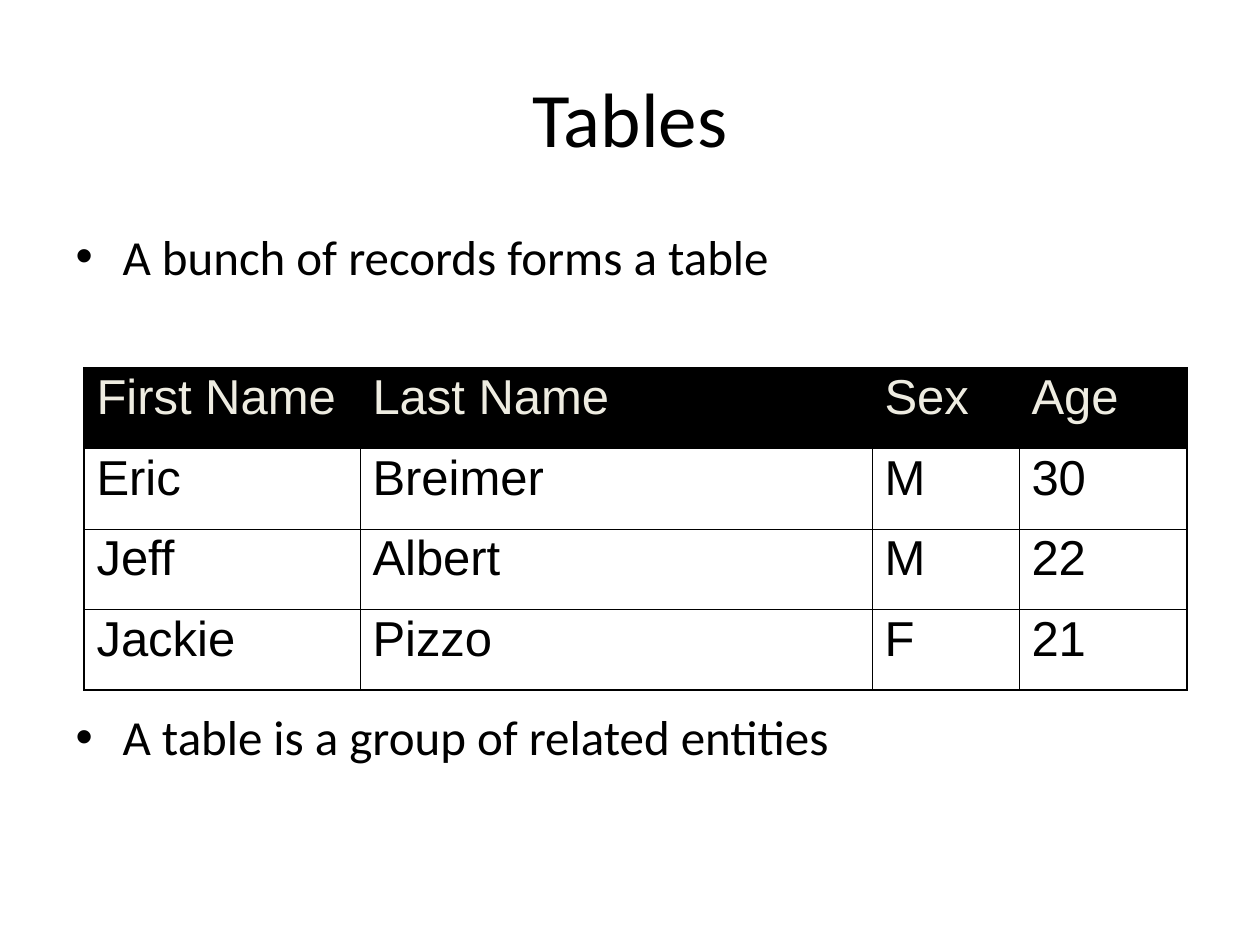
from dataclasses import dataclass

from lxml.etree import SubElement
from pptx import Presentation
from pptx.dml.color import RGBColor
from pptx.enum.text import MSO_ANCHOR, MSO_AUTO_SIZE, PP_ALIGN
from pptx.oxml.ns import qn
from pptx.util import Emu, Pt

# Content
TITLE = "Tables"
POINTS = [  # text, space before in points (the second clears the table)
    ("A bunch of records forms a table", 0),
    ("A table is a group of related entities", 241),
]
RECORDS = [
    ("First Name", "Last Name", "Sex", "Age"),
    ("Eric", "Breimer", "M", "30"),
    ("Jeff", "Albert", "M", "22"),
    ("Jackie", "Pizzo", "F", "21"),
]

# Layout in px
SLIDE = (1260, 945)
TITLE_BOX = (63, 38, 1134, 157)
BODY_BOX = (63, 220, 1134, 624)
TABLE_AT = (84, 368)
COLUMNS = (276, 512, 147, 168)
TABLE_HEIGHT = 322
HANG = 47


@dataclass(frozen=True)
class Theme:
    ink: str = "000000"
    header_ink: str = "EEECE1"
    header_fill: str = "000000"
    text_font: str = "Calibri"
    table_font: str = "Arial"
    title_size: int = 44
    text_size: int = 28
    outer_line: float = 1.08
    inner_line: float = 0.45


THEME = Theme()


def px(n):
    return Emu(round(n * 914400 / 126))


def add_run(paragraph, text, font, size, color):
    run = paragraph.add_run()
    run.text = text
    run.font.name = font
    run.font.size = Pt(size)
    run.font.color.rgb = RGBColor.from_string(color)


def place(holder, box):
    holder.left, holder.top, holder.width, holder.height = map(px, box)
    frame = holder.text_frame
    frame.word_wrap = True
    frame.auto_size = MSO_AUTO_SIZE.NONE
    return frame


def add_bullet(paragraph):
    props = paragraph._p.get_or_add_pPr()
    props.set("marL", str(px(HANG)))
    props.set("indent", str(-px(HANG)))
    color = SubElement(props, qn("a:buClr"))
    SubElement(color, qn("a:srgbClr"), val=THEME.ink)
    SubElement(props, qn("a:buFont"), typeface=THEME.table_font)
    SubElement(props, qn("a:buChar"), char="•")


def set_borders(cell, outer_sides):
    props = cell._tc.get_or_add_tcPr()
    for index, side in enumerate(("L", "R", "T", "B")):
        width = THEME.outer_line if side in outer_sides else THEME.inner_line
        line = props.makeelement(qn(f"a:ln{side}"), {"w": str(Pt(width))})
        fill = SubElement(line, qn("a:solidFill"))
        SubElement(fill, qn("a:srgbClr"), val=THEME.ink)
        props.insert(index, line)


def fill_cell(table, row, col, text):
    cell = table.cell(row, col)
    header = row == 0
    if header:
        cell.fill.solid()
        cell.fill.fore_color.rgb = RGBColor.from_string(THEME.header_fill)
    else:
        cell.fill.background()
    paragraph = cell.text_frame.paragraphs[0]
    paragraph.line_spacing = 0.93
    add_run(paragraph, text, THEME.table_font, THEME.text_size,
            THEME.header_ink if header else THEME.ink)
    edges = {"L": col == 0, "R": col == len(COLUMNS) - 1,
             "T": header, "B": row == len(RECORDS) - 1}
    set_borders(cell, [side for side, outer in edges.items() if outer])


def main():
    deck = Presentation()
    deck.slide_width, deck.slide_height = map(px, SLIDE)
    slide = deck.slides.add_slide(deck.slide_layouts[1])

    # Title
    heading = place(slide.shapes.title, TITLE_BOX)
    heading.vertical_anchor = MSO_ANCHOR.MIDDLE
    heading.paragraphs[0].alignment = PP_ALIGN.CENTER
    add_run(heading.paragraphs[0], TITLE, THEME.text_font, THEME.title_size, THEME.ink)

    # Bulleted statements above and below the table
    body = place(slide.placeholders[1], BODY_BOX)
    for index, (text, gap) in enumerate(POINTS):
        point = body.add_paragraph() if index else body.paragraphs[0]
        add_bullet(point)
        point.space_before = Pt(gap)
        add_run(point, text, THEME.text_font, THEME.text_size, THEME.ink)

    # Table of records
    table = slide.shapes.add_table(
        len(RECORDS), len(COLUMNS), *map(px, TABLE_AT),
        px(sum(COLUMNS)), px(TABLE_HEIGHT)).table
    table.first_row = table.horz_banding = False
    for column, width in zip(table.columns, COLUMNS):
        column.width = px(width)
    for row, record in enumerate(RECORDS):
        for col, text in enumerate(record):
            fill_cell(table, row, col, text)

    deck.save("out.pptx")


if __name__ == "__main__":
    main()
